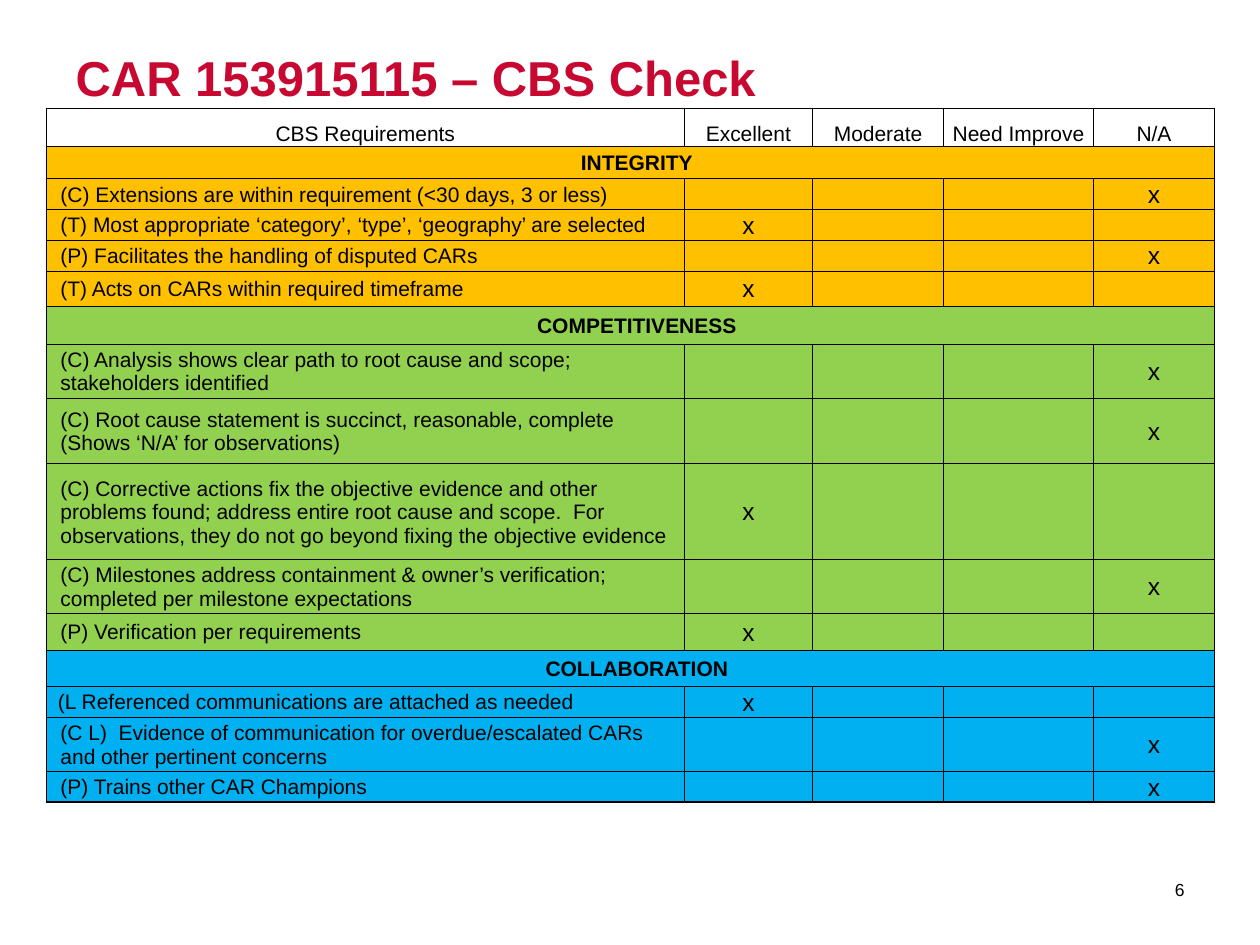
from lxml.etree import SubElement
from pptx import Presentation
from pptx.dml.color import RGBColor
from pptx.enum.text import MSO_ANCHOR, PP_ALIGN
from pptx.oxml.ns import qn
from pptx.util import Inches, Pt

# Content: each section has a name, a colour, its header row height and its
# requirements as (text, rating column, row height)
TITLE = "CAR 153915115 – CBS Check"
PAGE = "6"
HEADER = ["CBS Requirements", "Excellent", "Moderate", "Need Improve", "N/A"]
HEADER_H = 0.3
EXCELLENT, NA = 1, 4
SECTIONS = [
    ("INTEGRITY", "FFC000", 0.26, [
        ("(C) Extensions are within requirement (<30 days, 3 or less)", NA, 0.23),
        ("(T) Most appropriate ‘category’, ‘type’, ‘geography’ are selected", EXCELLENT, 0.23),
        ("(P) Facilitates the handling of disputed CARs", NA, 0.23),
        ("(T) Acts on CARs within required timeframe", EXCELLENT, 0.28),
    ]),
    ("COMPETITIVENESS", "92D050", 0.3, [
        ("(C) Analysis shows clear path to root cause and scope;\n"
         "stakeholders identified", NA, 0.43),
        ("(C) Root cause statement is succinct, reasonable, complete\n"
         "(Shows ‘N/A’ for observations)", NA, 0.52),
        ("(C) Corrective actions fix the objective evidence and other problems found; "
         "address entire root cause and scope.  For observations, they do not go "
         "beyond fixing the objective evidence", EXCELLENT, 0.76),
        ("(C) Milestones address containment & owner’s verification; "
         "completed per milestone expectations", NA, 0.43),
        ("(P) Verification per requirements", EXCELLENT, 0.29),
    ]),
    ("COLLABORATION", "00B0F0", 0.29, [
        ("(L Referenced communications are attached as needed", EXCELLENT, 0.23),
        ("(C L)  Evidence of communication for overdue/escalated CARs "
         "and other pertinent concerns", NA, 0.43),
        ("(P) Trains other CAR Champions", NA, 0.23),
    ]),
]
COL_W = [5.06, 1.02, 1.04, 1.19, 0.96]
TABLE_X, TABLE_Y = 0.37, 0.86
INDENT = 0.11


def rgb(color):
    return RGBColor.from_string(color)


def write(tf, text, size=12, color="000000", bold=False, align=PP_ALIGN.LEFT):
    for i, line in enumerate(text.split("\n")):
        p = tf.paragraphs[0] if i == 0 else tf.add_paragraph()
        p.alignment = align
        if not line:
            SubElement(p._p, qn("a:endParaRPr"), sz=str(size * 100))
            continue
        r = p.add_run()
        r.text = line
        r.font.name, r.font.size, r.font.bold = "Arial", Pt(size), bold
        r.font.color.rgb = rgb(color)


def set_borders(cell, widths):
    tcPr = cell._tc.get_or_add_tcPr()
    for i, (side, width) in enumerate(widths.items()):
        ln = SubElement(tcPr, qn("a:" + side), w=str(Pt(width)))
        SubElement(SubElement(ln, qn("a:solidFill")), qn("a:srgbClr"), val="000000")
        tcPr.remove(ln)
        tcPr.insert(i, ln)  # borders come before the fill


def fill_cell(cell, text="", fill=None, left=0.01, anchor=MSO_ANCHOR.MIDDLE, **fmt):
    cell.margin_left, cell.margin_right = Inches(left), Inches(0.01)
    cell.margin_top, cell.margin_bottom = Inches(0.01), 0
    cell.vertical_anchor = anchor
    if fill:
        cell.fill.solid()
        cell.fill.fore_color.rgb = rgb(fill)
    else:
        cell.fill.background()
    write(cell.text_frame, text, **fmt)


prs = Presentation()
prs.slide_width, prs.slide_height = Inches(10), Inches(7.5)
s = prs.slides.add_slide(prs.slide_layouts[5])

# Title
title = s.shapes.title
title.left, title.top, title.width, title.height = map(Inches, (0.5, 0.3, 9, 1.25))
title.text_frame.vertical_anchor = MSO_ANCHOR.TOP
title.text_frame.margin_top = Inches(0.08)
write(title.text_frame, TITLE, size=28, color="C70932", bold=True)

# Page number
tf = s.shapes.add_textbox(*map(Inches, (8.8, 6.86, 0.7, 0.4))).text_frame
tf.word_wrap = True
tf.vertical_anchor = MSO_ANCHOR.MIDDLE
write(tf, PAGE, size=10, align=PP_ALIGN.RIGHT)

# Table grid
heights = [HEADER_H]
for name, color, height, items in SECTIONS:
    heights += [height] + [item[2] for item in items]
n_rows, n_cols = len(heights), len(COL_W)
table = s.shapes.add_table(n_rows, n_cols, *map(
    Inches, (TABLE_X, TABLE_Y, sum(COL_W), sum(heights)))).table
table.first_row = table.horz_banding = False
for col, width in zip(table.columns, COL_W):
    col.width = Inches(width)
for row, height in zip(table.rows, heights):
    row.height = Inches(height)

# Header row
for c, label in enumerate(HEADER):
    fill_cell(table.cell(0, c), label, anchor=MSO_ANCHOR.BOTTOM, align=PP_ALIGN.CENTER)

# Sections: a merged heading, then one row per requirement
r = 1
for name, color, height, items in SECTIONS:
    table.cell(r, 0).merge(table.cell(r, n_cols - 1))
    fill_cell(table.cell(r, 0), name, color, INDENT, bold=True, align=PP_ALIGN.CENTER)
    for r, (text, rating, height) in enumerate(items, r + 1):
        left = 0.09 if text.startswith("(L") else INDENT
        fill_cell(table.cell(r, 0), text, color, left)
        for c in range(1, n_cols):
            fill_cell(table.cell(r, c), "x" if c == rating else "", color,
                      size=14 if c == rating else 12, align=PP_ALIGN.CENTER)
    r += 1

# Thin grid lines with a heavier outer frame
for r in range(n_rows):
    for c in range(n_cols):
        cell = table.cell(r, c)
        last = cell.span_width if cell.is_merge_origin else 1
        edges = {"lnL": c == 0, "lnR": c + last == n_cols or c == n_cols - 1,
                 "lnT": r == 0, "lnB": r == n_rows - 1}
        set_borders(cell, {side: 1 if outer else 0.5 for side, outer in edges.items()})

prs.save("out.pptx")
